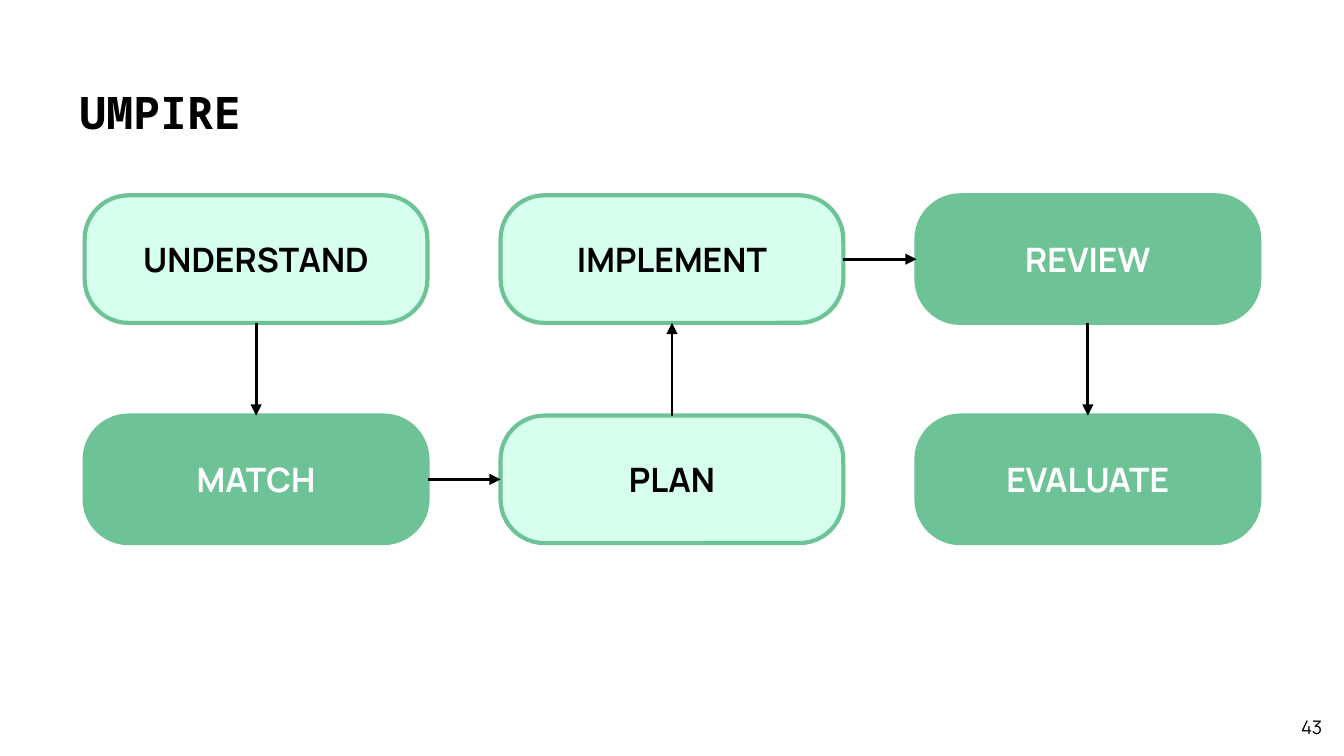
from lxml.etree import SubElement
from pptx import Presentation
from pptx.dml.color import RGBColor as Color
from pptx.enum.shapes import MSO_CONNECTOR as Connector, MSO_SHAPE as Shape
from pptx.enum.text import MSO_ANCHOR as Anchor, MSO_AUTO_SIZE as AutoSize, PP_ALIGN as Align
from pptx.oxml.ns import qn
from pptx.util import Cm, Pt

COLORS = {"ink": "000000", "paper": "FFFFFF", "green": "6EC396", "mint": "D7FFEE"}
TOP, LEFT, BOTTOM, RIGHT = range(4)
STEPS = [
    ("UNDERSTAND", 0, 0, "mint", "ink"),
    ("MATCH", 0, 1, "green", "paper"),
    ("PLAN", 1, 1, "mint", "ink"),
    ("IMPLEMENT", 1, 0, "mint", "ink"),
    ("REVIEW", 2, 0, "green", "paper"),
    ("EVALUATE", 2, 1, "green", "paper"),
]
ROUTES = [(BOTTOM, TOP), (RIGHT, LEFT), (TOP, BOTTOM), (RIGHT, LEFT), (BOTTOM, TOP)]


class FlowSlide:
    """Holds the style and the current slide, and draws each kind of element."""

    body_font = "Manrope"
    title_font = "Noto Sans Mono"

    def __init__(self, deck):
        self.slide = deck.slides.add_slide(deck.slide_layouts[5])

    def color(self, name):
        return Color.from_string(COLORS[name])

    def label(self, box, text, size, font, color="ink", bold=False,
              align=Align.LEFT, anchor=Anchor.MIDDLE):
        frame = box.text_frame
        frame.text = text
        frame.word_wrap = True
        frame.auto_size = AutoSize.NONE
        frame.vertical_anchor = anchor
        frame.margin_left = frame.margin_right = Cm(0.25)
        frame.margin_top = frame.margin_bottom = Cm(0.25)
        para = frame.paragraphs[0]
        para.alignment = align
        span = para.runs[0]
        span.font.name = font
        span.font.size = Pt(size)
        span.font.bold = bold
        span.font.color.rgb = self.color(color)

    def title(self, text):
        box = self.slide.shapes.title
        box.left, box.top, box.width, box.height = Cm(1.25), Cm(1.35), Cm(22.9), Cm(1.6)
        self.label(box, text, 24, self.title_font, bold=True, anchor=Anchor.TOP)

    def page_number(self, text):
        box = self.slide.shapes.add_textbox(Cm(23.72), Cm(13.31), Cm(1.52), Cm(0.84))
        self.label(box, text, 10, self.body_font, align=Align.RIGHT)

    def step(self, text, column, row, fill, ink):
        box = self.slide.shapes.add_shape(
            Shape.ROUNDED_RECTANGLE,
            Cm(1.6 + 7.86 * column), Cm(3.69 + 4.16 * row), Cm(6.48), Cm(2.41))
        box.adjustments[0] = 0.345
        box.shadow.inherit = False
        box.fill.solid()
        box.fill.fore_color.rgb = self.color(fill)
        box.line.color.rgb = self.color("green")
        box.line.width = Pt(2.25)
        self.label(box, text, 18, self.body_font, ink, True, Align.CENTER)
        return box

    def arrow(self, source, target, start, end):
        arrow = self.slide.shapes.add_connector(Connector.STRAIGHT, 0, 0, 0, 0)
        arrow.begin_connect(source, start)
        arrow.end_connect(target, end)
        arrow.line.color.rgb = self.color("ink")
        arrow.line.width = Pt(1.5)
        SubElement(arrow.get_or_add_ln(), qn("a:tailEnd"), type="triangle")
        SubElement(arrow.element.spPr, qn("a:effectLst"))


def main():
    deck = Presentation()
    deck.slide_width, deck.slide_height = Cm(25.4), Cm(14.28)
    page = FlowSlide(deck)
    page.title("UMPIRE")
    page.page_number("43")
    boxes = [page.step(*step) for step in STEPS]
    for source, target, route in zip(boxes, boxes[1:], ROUTES):
        page.arrow(source, target, *route)
    deck.save("out.pptx")


if __name__ == "__main__":
    main()
